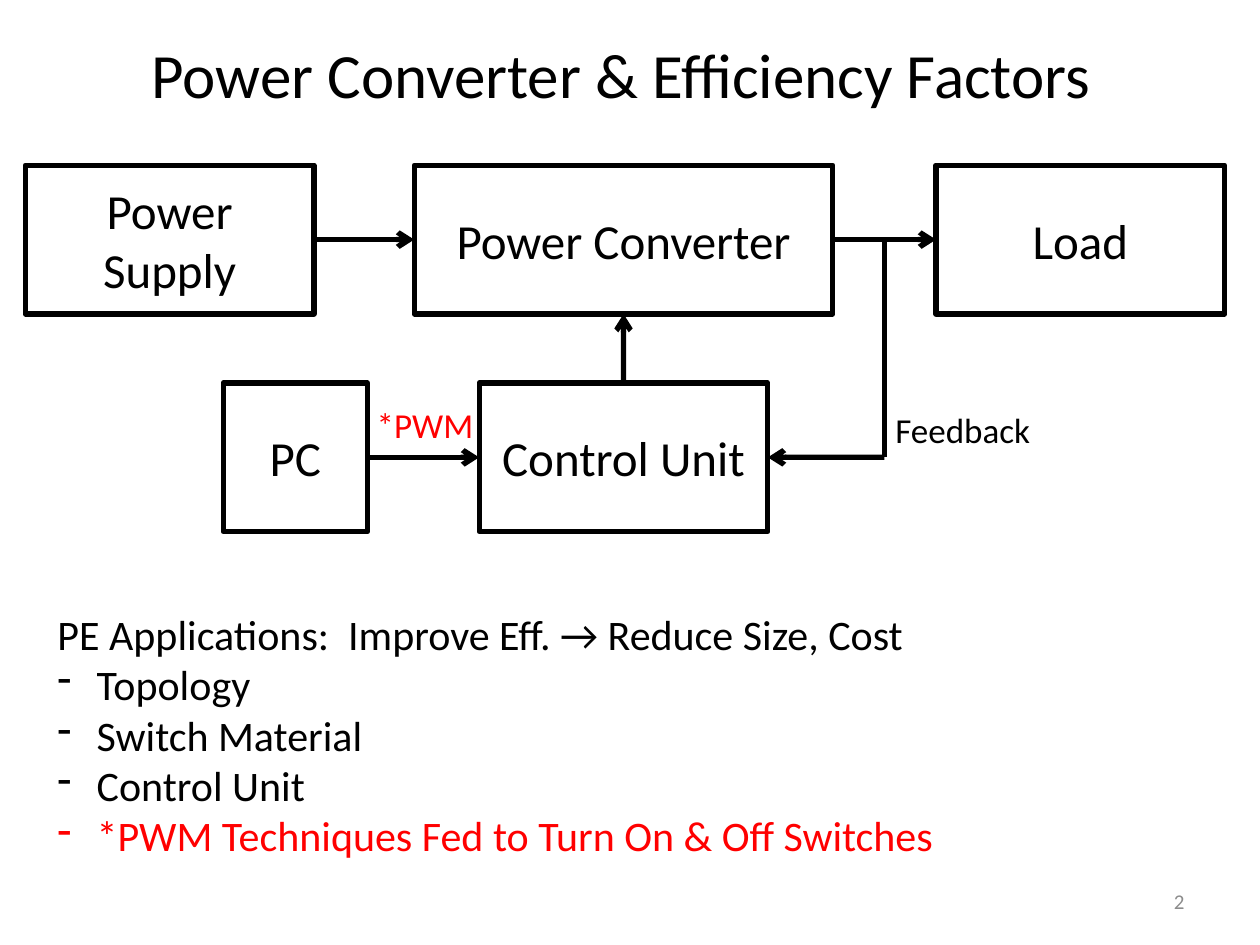
from lxml import etree
from pptx import Presentation
from pptx import util as u
from pptx.dml.color import RGBColor
from pptx.enum import shapes, text
from pptx.oxml.ns import qn

FONT = "Calibri"
BLACK, WHITE, RED, GRAY = "000000", "FFFFFF", "FF0000", "8C8C8C"
TOP, LEFT, BOTTOM, RIGHT = range(4)
ALIGN = text.PP_ALIGN


def color(value):
    """Turn a hex string into a colour."""
    return RGBColor.from_string(value)


def style(paragraph, size, hex_color, align):
    """Set the font and alignment of a paragraph."""
    paragraph.alignment = align
    paragraph.font.name = FONT
    paragraph.font.size = u.Pt(size)
    paragraph.font.color.rgb = color(hex_color)


def add_label(slide, box, words, size, hex_color=BLACK, align=ALIGN.CENTER):
    """Add one vertically centred line of text."""
    frame = slide.shapes.add_textbox(*map(u.Cm, box)).text_frame
    frame.word_wrap = True
    frame.vertical_anchor = text.MSO_ANCHOR.MIDDLE
    frame.text = words
    style(frame.paragraphs[0], size, hex_color, align)


def add_block(slide, box, words):
    """Add an outlined block of the diagram."""
    shape = slide.shapes.add_shape(shapes.MSO_SHAPE.RECTANGLE, *map(u.Cm, box))
    shape.shadow.inherit = False
    shape.fill.solid()
    shape.fill.fore_color.rgb = color(WHITE)
    shape.line.color.rgb = color(BLACK)
    shape.line.width = u.Pt(3)
    shape.text_frame.text = words
    style(shape.text_frame.paragraphs[0], 28, BLACK, ALIGN.CENTER)
    return shape


def add_line(slide, start=(0, 0), end=(0, 0), begin=None, finish=None, arrow=True):
    """Draw a line between points or (block, side) joints."""
    connector = slide.shapes.add_connector(
        shapes.MSO_CONNECTOR.STRAIGHT, *map(u.Cm, (*start, *end)))
    if begin:
        connector.begin_connect(*begin)
    if finish:
        connector.end_connect(*finish)
    connector.line.color.rgb = color(BLACK)
    connector.line.width = u.Pt(3)
    properties = connector.element.spPr
    if arrow:
        etree.SubElement(properties.find(qn("a:ln")), qn("a:tailEnd"), type="arrow")
    etree.SubElement(properties, qn("a:effectLst"))


def add_diagram(slide, left, top, width):
    """Draw the converter chain with its control loop."""
    height, side, row = 3, 5.82, 4.39
    converter_x, converter_width = 7.84, 8.44
    load_x = width - side
    control_x = converter_x + (converter_width - side) / 2

    def block(x, y, block_width, words):
        """Add a block relative to the diagram."""
        return add_block(slide, (left + x, top + y, block_width, height), words)

    supply = block(0, 0, side, "Power Supply")
    converter = block(converter_x, 0, converter_width, "Power Converter")
    load = block(load_x, 0, side, "Load")
    computer = block(3.99, row, side / 2, "PC")
    control = block(control_x, row, side, "Control Unit")

    for source, exit_side, target, entry_side in (
            (supply, RIGHT, converter, LEFT),
            (converter, RIGHT, load, LEFT),
            (control, TOP, converter, BOTTOM),
            (computer, RIGHT, control, LEFT)):
        add_line(slide, begin=(source, exit_side), finish=(target, entry_side))

    feedback_x = left + (converter_x + converter_width + load_x) / 2
    upper = (feedback_x, top + height / 2)
    lower = (feedback_x, top + row + height / 2)
    add_line(slide, upper, lower, arrow=False)
    add_line(slide, lower, finish=(control, RIGHT))

    add_label(slide, (left + 6.6, top + 3.73, 2.92, height), "*PWM", 20, RED)
    add_label(slide, (left + 17.2, top + 4.29, 3.4, 2.06), "Feedback", 20)


def add_applications(slide, box):
    """Write the applications heading and its dashed list."""
    frame = slide.shapes.add_textbox(*map(u.Cm, box)).text_frame
    frame.word_wrap = False
    frame.auto_size = text.MSO_AUTO_SIZE.SHAPE_TO_FIT_TEXT
    frame.text = "PE Applications:  Improve Eff. → Reduce Size, Cost"
    style(frame.paragraphs[0], 24, BLACK, ALIGN.LEFT)
    indent = u.Cm(0.79)
    for words, hex_color in (
            ("Topology", BLACK),
            ("Switch Material", BLACK),
            ("Control Unit", BLACK),
            ("*PWM Techniques Fed to Turn On & Off Switches", RED)):
        paragraph = frame.add_paragraph()
        paragraph.text = words
        style(paragraph, 24, hex_color, ALIGN.LEFT)
        properties = paragraph._p.get_or_add_pPr()
        properties.set("marL", str(indent))
        properties.set("indent", str(-indent))
        bullet = etree.Element(qn("a:buChar"), char="-")
        properties.insert(0, bullet)


def main():
    """Build and save the slide."""
    presentation = Presentation()
    presentation.slide_width = u.Cm(25.4)
    presentation.slide_height = u.Cm(19.05)
    slide = presentation.slides.add_slide(presentation.slide_layouts[6])
    add_label(slide, (1.09, 0.41, 22.86, 2.13),
              "Power Converter & Efficiency Factors", 36)
    add_applications(slide, (0.91, 12.14, 18.36, 5.38))
    add_diagram(slide, 0.51, 3.33, 24.18)
    add_label(slide, (18.21, 17.65, 5.92, 1.02), "2", 12, GRAY, ALIGN.RIGHT)
    presentation.save("out.pptx")


if __name__ == "__main__":
    main()
